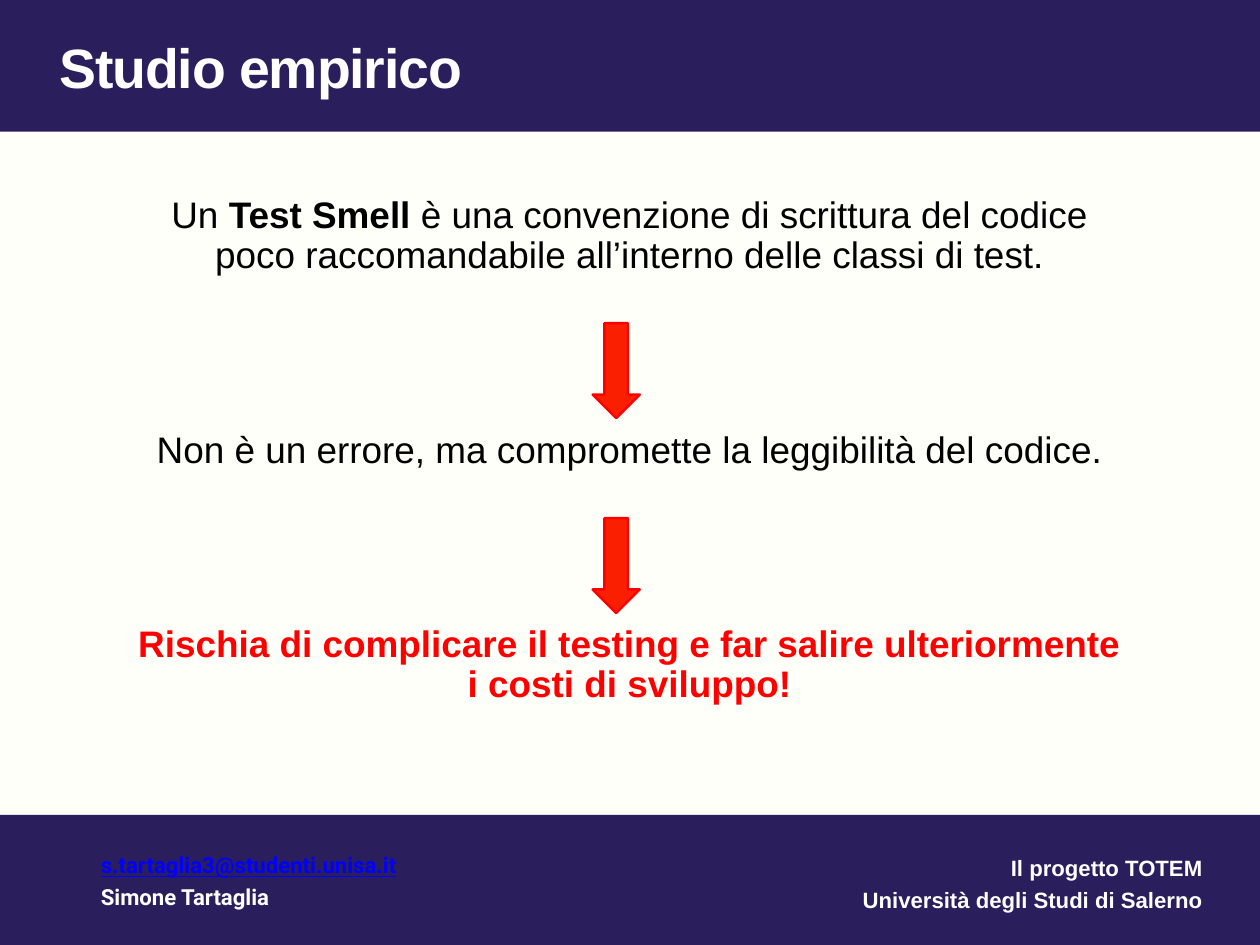
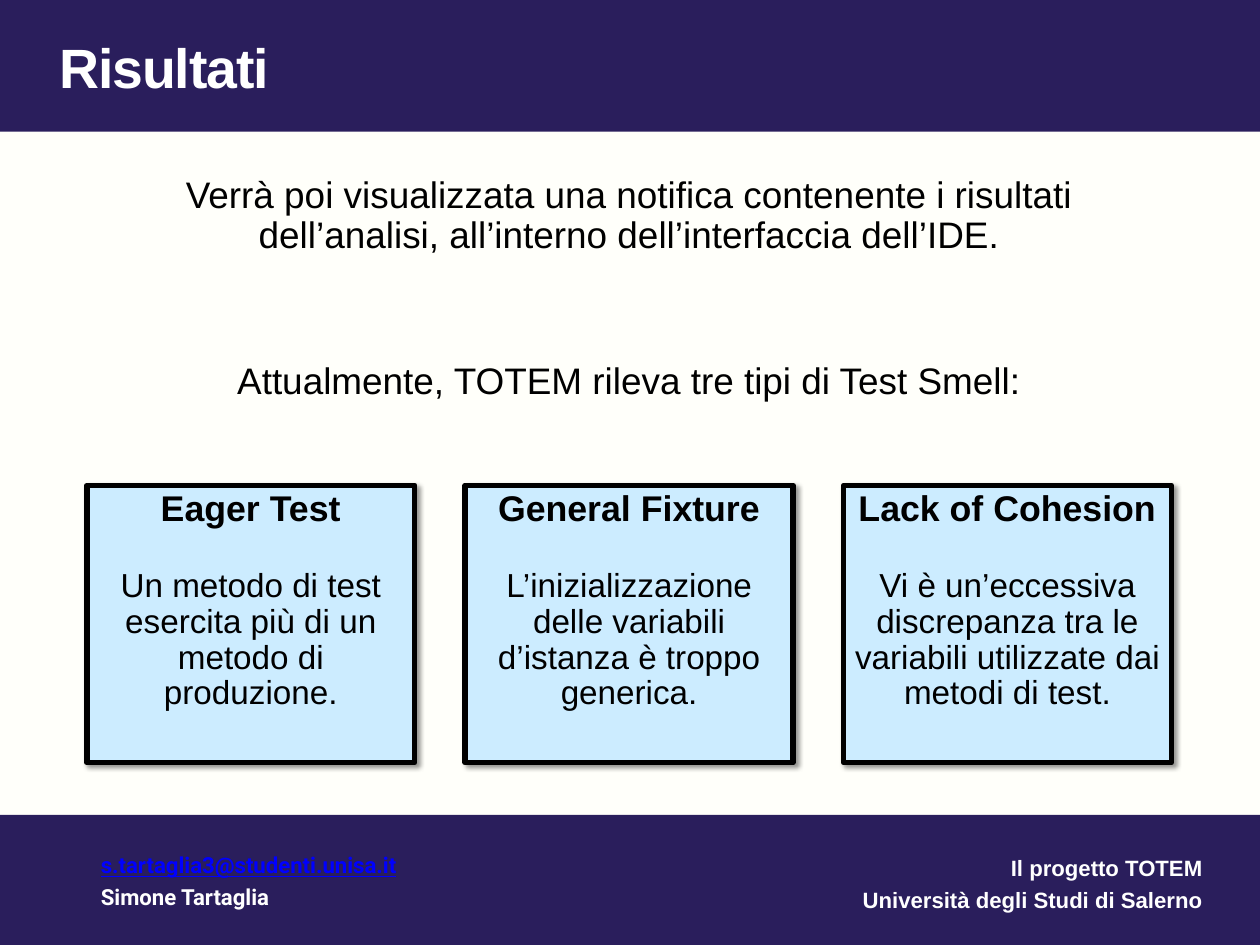
from lxml import etree
from pptx import Presentation
from pptx.dml.color import RGBColor
from pptx.enum.shapes import MSO_SHAPE as SHAPE
from pptx.enum.text import MSO_ANCHOR as ANCHOR, MSO_AUTO_SIZE as AUTO, PP_ALIGN as ALIGN
from pptx.oxml import parse_xml
from pptx.oxml.ns import nsdecls
from pptx.util import Cm, Pt

WIDTH, HEIGHT = 36.12, 27.1
BAND_HEIGHT, FOOTER_TOP = 3.78, 23.37
INSET = 0.15
CREAM, NAVY, WHITE, BLACK = "FFFFFA", "2A1E5C", "FFFFFF", "000000"
RED, ARROW_RED, LINK_BLUE, CARD_BLUE = "FF0000", "FA1F00", "0000FF", "CCECFF"


def rgb(color):
    return RGBColor.from_string(color)


def cm(box):
    return [Cm(v) for v in box]


def set_frame(tf, anchor=ANCHOR.MIDDLE, wrap=True):
    tf.word_wrap = wrap
    tf.auto_size = AUTO.NONE
    tf.vertical_anchor = anchor
    tf.margin_left = tf.margin_right = tf.margin_top = tf.margin_bottom = Cm(INSET)


def add_line(tf, text, size, color=BLACK, bold=False, align=ALIGN.CENTER,
             spacing=0.9, before=32, font="Arial"):
    """Add one paragraph; text is a string or a list of (text, bold) runs."""
    first = tf.paragraphs[0]
    p = tf.add_paragraph() if first.runs else first
    p.alignment, p.line_spacing, p.space_before = align, spacing, Pt(before)
    p.font.name, p.font.size = font, Pt(size)
    p.font.color.rgb = rgb(color)
    runs = [(text, bold)] if isinstance(text, str) else text
    for words, is_bold in runs:
        r = p.add_run()
        r.text = words
        r.font.bold = is_bold
    return p


def add_text(s, box, anchor=ANCHOR.MIDDLE, wrap=True):
    tf = s.shapes.add_textbox(*cm(box)).text_frame
    set_frame(tf, anchor, wrap)
    return tf


def add_block(s, kind, box, fill, line=None, weight=0):
    sp = s.shapes.add_shape(kind, *cm(box))
    sp.shadow.inherit = False
    sp.fill.solid()
    sp.fill.fore_color.rgb = rgb(fill)
    if line:
        sp.line.color.rgb = rgb(line)
        sp.line.width = Pt(weight)
    else:
        sp.line.fill.background()
    return sp


def add_header(s, box, text):
    left, top, width, _ = box
    add_block(s, SHAPE.RECTANGLE, box, NAVY)
    title = s.shapes.title
    title.left, title.top, title.width, title.height = cm(
        (left + 1.55, top + 1.17, width - 3.86, 1.83))
    set_frame(title.text_frame, ANCHOR.BOTTOM)
    p = add_line(title.text_frame, text, 45, WHITE, True, ALIGN.LEFT, 0.8, 0)
    p.runs[0].font._element.set("spc", "-90")
    s.shapes._spTree.append(title._element)  # in front of the band


def add_footer(s, box):
    left, top, width, _ = box
    add_block(s, SHAPE.RECTANGLE, box, NAVY)
    project = add_text(s, (left + width - 14.66, top + 0.86, 13.16, 2.06))
    for text in ("Il progetto TOTEM", "Università degli Studi di Salerno"):
        add_line(project, text, 18, WHITE, True, ALIGN.RIGHT, 1.2, 0)
    author = add_text(s, (left + 2.74, top + 0.79, 9.22, 2.06), wrap=False)
    for text, color in (("s.tartaglia3@studenti.unisa.it", LINK_BLUE),
                        ("Simone Tartaglia", WHITE)):
        p = add_line(author, text, 18, color, True, ALIGN.LEFT, 1.2, 0, "Roboto")
        p.font.underline = color == LINK_BLUE
        p.runs[0].font.underline = color == LINK_BLUE


def add_slide(prs, title):
    s = prs.slides.add_slide(prs.slide_layouts[5])
    s.background.fill.solid()
    s.background.fill.fore_color.rgb = rgb(CREAM)
    add_header(s, (0, 0, WIDTH, BAND_HEIGHT), title)
    add_footer(s, (0, FOOTER_TOP, WIDTH, HEIGHT - FOOTER_TOP))
    return s


def add_reasoning(s, box):
    """Three statements joined by two down arrows."""
    left, top, width, _ = box
    definition = [("Un ", False), ("Test Smell", True),
                  (" è una convenzione di scrittura del codice poco raccomandabile "
                   "all’interno delle classi di test.", False)]
    statements = [
        (0, 3.73, definition, BLACK, False),
        (6.73, 2.59, "Non è un errore, ma compromette la leggibilità del codice.",
         BLACK, False),
        (12.29, 3.73, "Rischia di complicare il testing e far salire ulteriormente "
         "i costi di sviluppo!", RED, True),
    ]
    for offset, height, text, color, bold in statements:
        add_line(add_text(s, (left, top + offset, width, height)), text, 30, color, bold)
    for offset in (4.34, 9.93):
        add_block(s, SHAPE.DOWN_ARROW, (left + 13.43, top + offset, 1.35, 2.72),
                  ARROW_RED, RED, 2)


def add_shadow(sp):
    effects = sp._element.spPr.find("{*}effectLst")
    effects.append(parse_xml(
        f'<a:outerShdw {nsdecls("a")} blurRad="{Pt(4)}" dist="{Pt(3)}" '
        f'dir="{45 * 60000}" algn="tl" rotWithShape="0"><a:srgbClr val="{BLACK}">'
        '<a:alpha val="40000"/></a:srgbClr></a:outerShdw>'))


def add_cards(s, box, cards):
    """Equal cards spread over the width of the box."""
    left, top, width, height = box
    card_width = 9.4
    pitch = (width - card_width) / (len(cards) - 1)
    for i, (heading, body) in enumerate(cards):
        sp = add_block(s, SHAPE.RECTANGLE, (left + i * pitch, top, card_width, height),
                       CARD_BLUE, BLACK, 4.5)
        add_shadow(sp)
        set_frame(sp.text_frame, ANCHOR.TOP)
        add_line(sp.text_frame, heading, 29, bold=True)
        add_line(sp.text_frame, body, 27)


def add_results(s, box):
    left, top, width, _ = box
    for offset, height, text in (
            (0, 3.73, "Verrà poi visualizzata una notifica contenente i risultati "
             "dell’analisi, all’interno dell’interfaccia dell’IDE."),
            (5.33, 2.59, "Attualmente, TOTEM rileva tre tipi di Test Smell:")):
        add_line(add_text(s, (left, top + offset, width, height), ANCHOR.TOP), text, 30)
    add_cards(s, (left, top + 8.99, width, 7.95), [
        ("Eager Test", "Un metodo di test esercita più di un metodo di produzione."),
        ("General Fixture",
         "L’inizializzazione delle variabili d’istanza è troppo generica."),
        ("Lack of Cohesion", "Vi è un’eccessiva discrepanza tra le variabili "
         "utilizzate dai metodi di test."),
    ])


def main():
    prs = Presentation()
    prs.slide_width, prs.slide_height = Cm(WIDTH), Cm(HEIGHT)
    add_reasoning(add_slide(prs, "Studio empirico"), (3.56, 4.93, 28.98, 16.02))
    add_results(add_slide(prs, "Risultati"), (2.49, 4.93, 31.09, 16.94))
    prs.save("out.pptx")


if __name__ == "__main__":
    main()
